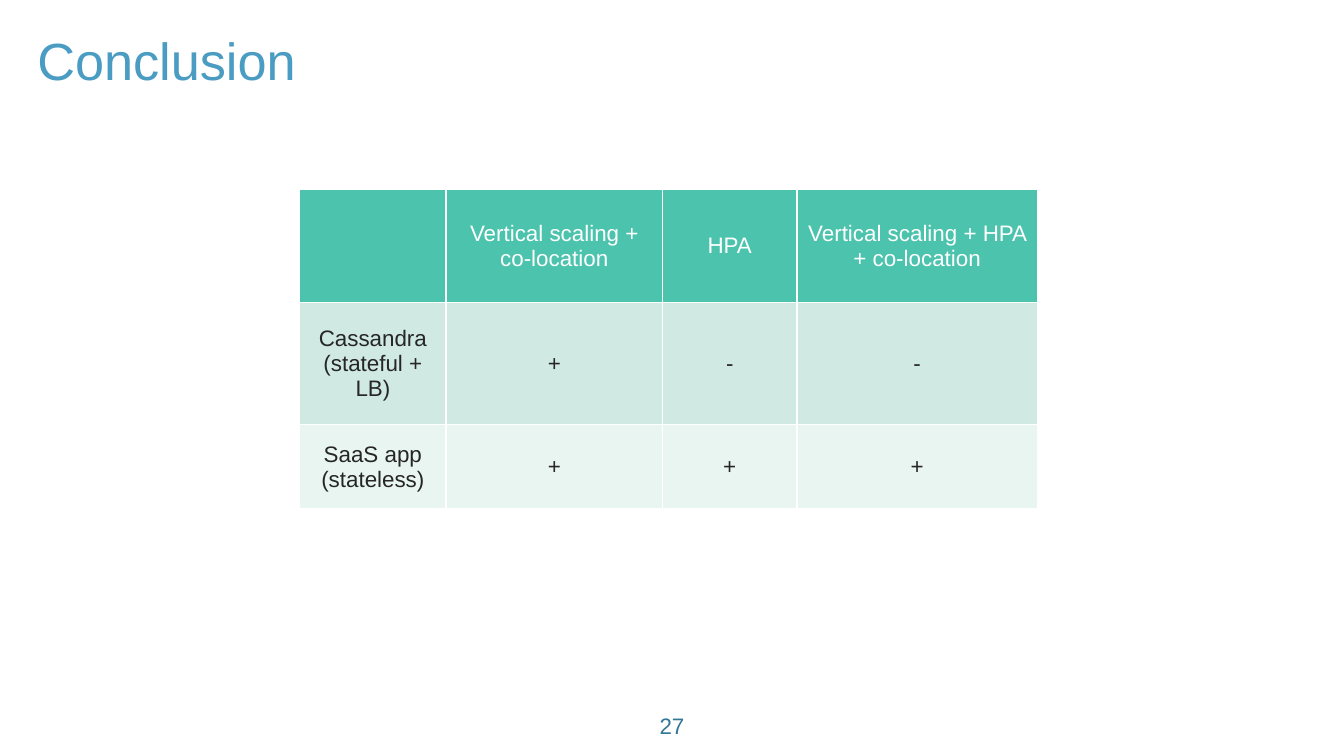
from pptx import Presentation
from pptx.dml.color import RGBColor
from pptx.enum.text import MSO_ANCHOR as Anchor, MSO_AUTO_SIZE as AutoSize, PP_ALIGN as Align
from pptx.util import Inches, Pt

HEADER_FILL = "4BC3AD"
BODY_FILLS = ["D0E9E3", "E9F5F1"]
WHITE = "FFFFFF"
DARK = "262626"

COLUMN_WIDTHS = [1.09, 1.61, 1, 1.79]
ROW_HEIGHTS = [0.84, 0.91, 0.63]
ROWS = [
    ["", "Vertical scaling + co-location", "HPA", "Vertical scaling + HPA + co-location"],
    ["Cassandra\n(stateful + LB)", "+", "-", "-"],
    ["SaaS app\n(stateless)", "+", "+", "+"],
]


def color(value):
    return RGBColor.from_string(value)


class SlideBuilder:
    """Holds the font and the current slide, and adds styled elements to it."""

    def __init__(self, slide, font="Arial"):
        self.slide = slide
        self.font = font

    def style(self, text_frame, size, text_color, align):
        for paragraph in text_frame.paragraphs:
            paragraph.alignment = align
            for run in paragraph.runs:
                run.font.name = self.font
                run.font.size = Pt(size)
                run.font.bold = False
                run.font.color.rgb = color(text_color)

    def text(self, text, left, top, width, height, size, text_color, align=Align.LEFT, anchor=Anchor.TOP):
        box = self.slide.shapes.add_textbox(Inches(left), Inches(top), Inches(width), Inches(height))
        text_frame = box.text_frame
        text_frame.word_wrap = True
        text_frame.auto_size = AutoSize.SHAPE_TO_FIT_TEXT
        text_frame.vertical_anchor = anchor
        text_frame.text = text
        self.style(text_frame, size, text_color, align)

    def cell(self, cell, text, fill, text_color):
        cell.fill.solid()
        cell.fill.fore_color.rgb = color(fill)
        cell.margin_left = cell.margin_right = Inches(0.07)
        cell.margin_top = cell.margin_bottom = Inches(0.04)
        cell.vertical_anchor = Anchor.MIDDLE
        cell.text_frame.text = text
        self.style(cell.text_frame, 12, text_color, Align.CENTER)

    def table(self, rows, left, top, widths, heights):
        frame = self.slide.shapes.add_table(
            len(rows), len(widths), Inches(left), Inches(top), Inches(sum(widths)), Inches(sum(heights)))
        table = frame.table
        for column, width in zip(table.columns, widths):
            column.width = Inches(width)
        for row, height in zip(table.rows, heights):
            row.height = Inches(height)
        looks = [(HEADER_FILL, WHITE)] + [(fill, DARK) for fill in BODY_FILLS]
        for row, texts, look in zip(table.rows, rows, looks):
            for cell, text in zip(row.cells, texts):
                self.cell(cell, text, *look)


def main():
    presentation = Presentation()
    presentation.slide_width = Inches(10)
    presentation.slide_height = Inches(10 * 9 / 16)
    builder = SlideBuilder(presentation.slides.add_slide(presentation.slide_layouts[6]))
    builder.text("27", 4.53, 5.25, 0.94, 0.3, 12, "337796", Align.CENTER, Anchor.MIDDLE)
    builder.table(ROWS, 2.23, 1.41, COLUMN_WIDTHS, ROW_HEIGHTS)
    builder.text("Conclusion", 0.18, 0.16, 9.57, 0.57, 28, "4A9CC2")
    presentation.save("out.pptx")


if __name__ == "__main__":
    main()
